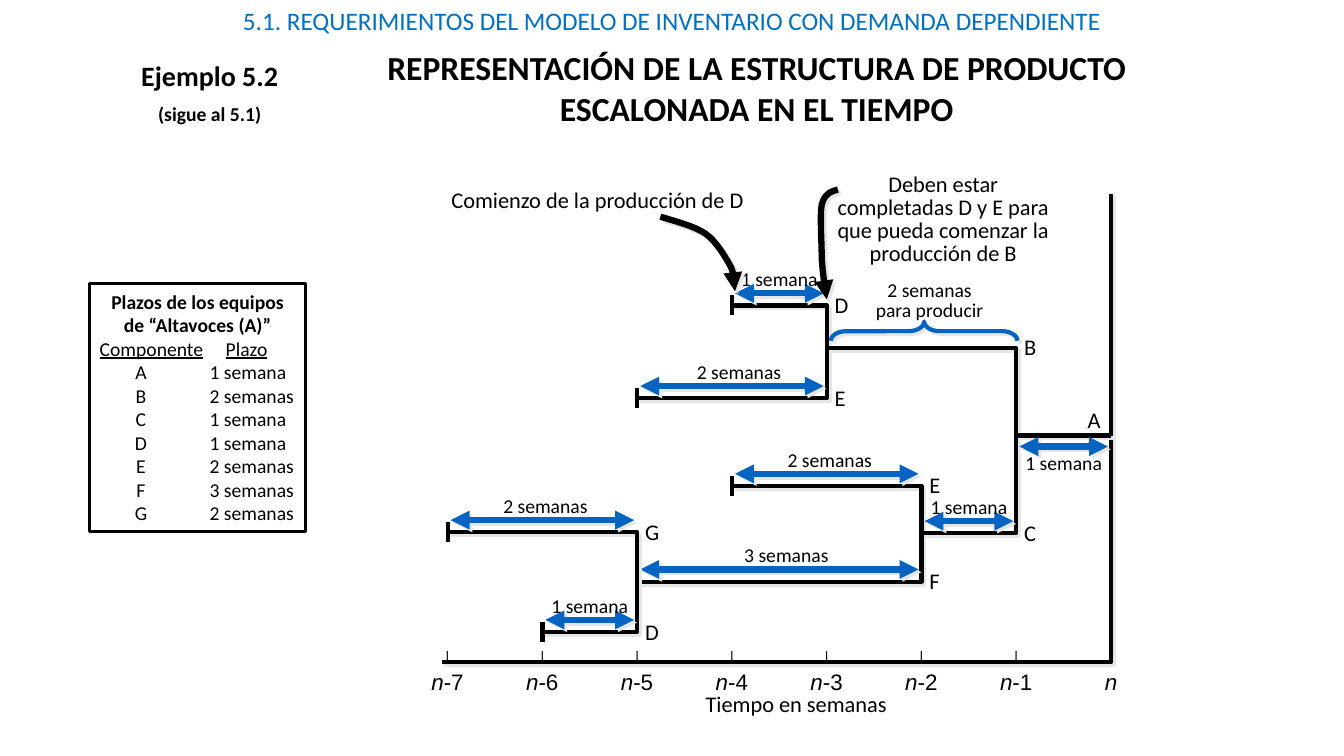
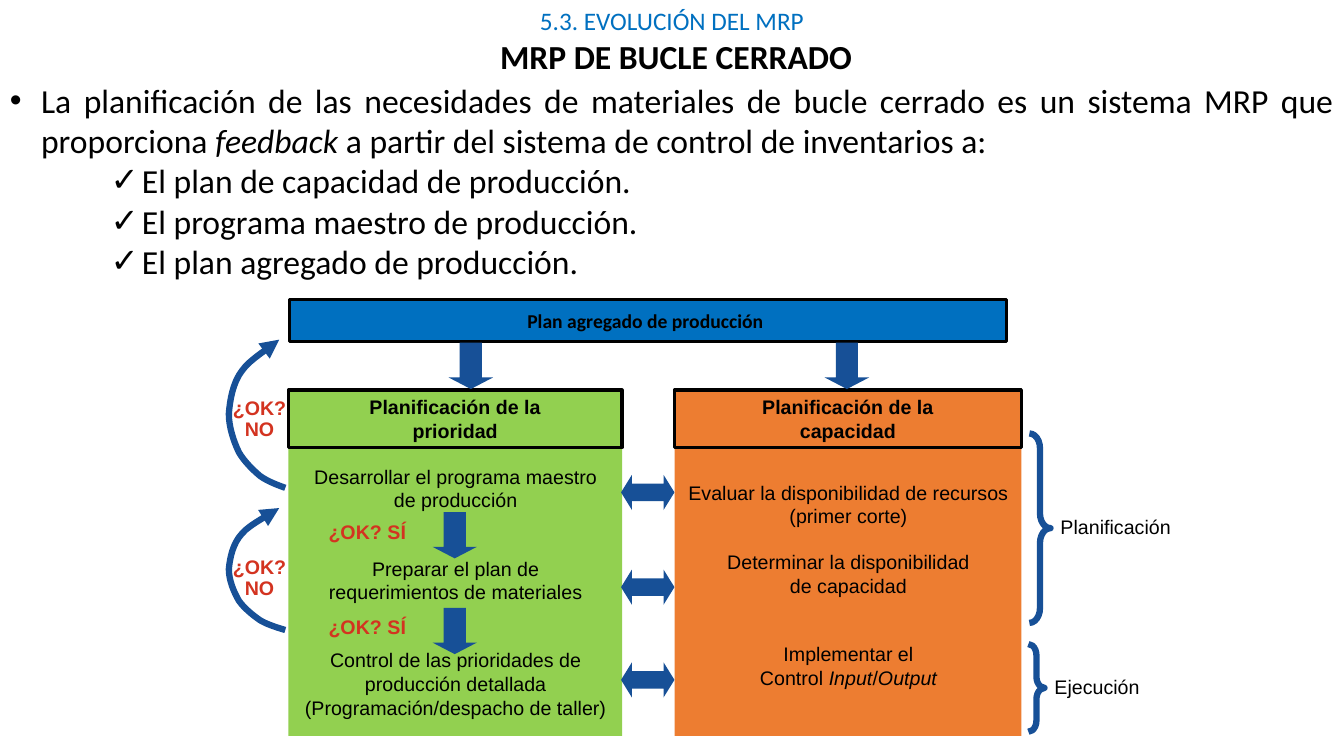
import pptx
import pptx.util
import pptx.dml.color
import pptx.enum.shapes
import pptx.enum.text
import pptx.oxml.ns
import lxml.etree

Inches, Pt = pptx.util.Inches, pptx.util.Pt
RGBColor = pptx.dml.color.RGBColor
Shape = pptx.enum.shapes.MSO_SHAPE
Align = pptx.enum.text.PP_ALIGN
Anchor = pptx.enum.text.MSO_ANCHOR
qn = pptx.oxml.ns.qn

BLACK = RGBColor(0x00, 0x00, 0x00)
BLUE = RGBColor(0x00, 0x70, 0xC0)
ARROW_BLUE = RGBColor(0x05, 0x63, 0xC1)
NAVY = RGBColor(0x17, 0x50, 0x97)
GREEN = RGBColor(0x92, 0xD0, 0x50)
ORANGE = RGBColor(0xED, 0x7D, 0x31)
RED = RGBColor(0xD3, 0x33, 0x20)
SHADOW = RGBColor(0xE7, 0xE6, 0xE6)

# Slide 1 content
LEAD_TIMES = [("A", "1 semana"), ("B", "2 semanas"), ("C", "1 semana"), ("D", "1 semana"),
              ("E", "2 semanas"), ("F", "3 semanas"), ("G", "2 semanas")]
# Component, start week, end week, height, duration, shift of its label, start mark
BRACKETS = [
    [("D", -4, -3, 3.03, "1 semana", 0, True), ("E", -5, -3, 3.95, "2 semanas", 0.07, True)],
    [("E", -4, -2, 4.82, "2 semanas", 0.03, True), ("F", -5, -2, 5.77, "3 semanas", 0.07, False)],
    [("G", -7, -5, 5.28, "2 semanas", 0.03, True), ("D", -6, -5, 6.27, "1 semana", 0, True)],
    [("B", -3, -1, 3.45, "", 0, False), ("C", -2, -1, 5.29, "1 semana", 0, False)],
]
WEEKS = range(-7, 1)
AXIS_END, WEEK_WIDTH, AXIS_Y = 11.02, 0.94, 6.57
START_CURVE = [(6.55, 2.15), (6.71, 2.2), (6.88, 2.24), (7, 2.32), (7.11, 2.4), (7.2, 2.56),
               (7.25, 2.65), (7.29, 2.75), (7.29, 2.82), (7.29, 2.89)]
DONE_CURVE = [(8.31, 1.88), (8.24, 1.9), (8.18, 1.92), (8.15, 2.03), (8.13, 2.14), (8.15, 2.4),
              (8.15, 2.56), (8.16, 2.72), (8.18, 2.84), (8.2, 2.97)]

# Slide 2 content (asterisks enclose italics)
INTRO = ("La planificación de las necesidades de materiales de bucle cerrado es un sistema MRP "
         "que proporciona *feedback* a partir del sistema de control de inventarios a:")
TARGETS = ["El plan de capacidad de producción.", "El programa maestro de producción.",
           "El plan agregado de producción."]
# Column: left, width, fill, heading, text box, groups of (lines left free above, lines)
COLUMNS = [
    (2.86, 3.31, GREEN, "Planificación de la prioridad", (2.92, 4.56, 3.2, 2.69), [
        (0, ["Desarrollar el programa maestro", "de producción"]),
        (2, ["Preparar el plan de", "requerimientos de materiales"]),
        (2, ["Control de las prioridades de", "producción detallada",
             "(Programación/despacho de taller)"])]),
    (6.69, 3.44, ORANGE, "Planificación de la capacidad", (6.72, 4.72, 3.39, 2.22), [
        (0, ["Evaluar la disponibilidad de recursos", "(primer corte)"]),
        (1, ["Determinar la disponibilidad", "de capacidad"]),
        (2, ["Implementar el", "Control *Input*/*Output*"])]),
]
BLOCK_ARROWS = [(Shape.DOWN_ARROW, 0.26, 0.44, 0.46, [(4.45, 3.4), (8.18, 3.4), (4.29, 5.08), (4.29, 6.03)]),
                (Shape.LEFT_RIGHT_ARROW, 0.31, 0.53, 0.35, [(6.16, 4.71), (6.16, 5.65), (6.16, 6.57)])]
# Feedback loops: top, height, label top
LOOPS = [(3.37, 1.47, 3.9), (5.04, 1.21, 5.48)]
# Loop outline: distance from the left, share of the height
LOOP_CURVE = [(0.56, 1), (0.52, 0.99), (0.39, 0.96), (0.31, 0.92), (0.24, 0.88), (0.15, 0.82),
              (0.1, 0.76), (0.05, 0.69), (0, 0.59), (0, 0.5), (0.01, 0.41), (0.04, 0.29),
              (0.13, 0.21), (0.21, 0.13), (0.42, 0.05), (0.5, 0)]
PHASES = [((10.21, 4.3, 0.21, 1.88), "Planificación", (10.42, 5.09, 1.3, 0.31)),
          ((10.2, 6.39, 0.16, 0.87), "Ejecución", (10.36, 6.67, 1.42, 0.31))]


def write(frame, lines, size, font="Calibri", color=BLACK, bold=False, align=Align.LEFT,
          spacing=None, mark="italic"):
    """Fill the frame; pieces between asterisks get the mark."""
    for index, line in enumerate(lines):
        para = frame.paragraphs[0] if index == 0 else frame.add_paragraph()
        para.alignment = align
        if spacing:
            para.line_spacing = spacing
        para.font.name, para.font.size, para.font.bold = font, Pt(size), bold
        para.font.color.rgb = color
        for number, piece in enumerate(line.split("*")):
            if piece:
                span = para.add_run()
                span.text = piece
                if number % 2:
                    setattr(span.font, mark, True)
    return frame.paragraphs


def add_text(slide, place, lines, size, wrap=True, **style):
    box = slide.shapes.add_textbox(*map(Inches, place))
    box.text_frame.word_wrap = wrap
    return write(box.text_frame, lines, size, **style)


def add_paragraph_setting(para, tag, **values):
    element = lxml.etree.Element(qn(tag), values)
    para._p.pPr.find(qn("a:defRPr")).addprevious(element)
    return element


def set_tabs(para, stops):
    tabs = add_paragraph_setting(para, "a:tabLst")
    for position, kind in stops:
        lxml.etree.SubElement(tabs, qn("a:tab"), pos=str(Inches(position)), algn=kind)


def set_bullet(para, sign, left):
    add_paragraph_setting(para, "a:buFont", typeface="Arial")
    add_paragraph_setting(para, "a:buChar", char=sign)
    para._p.pPr.set("marL", str(Inches(left)))
    para._p.pPr.set("indent", str(Inches(-0.31)))


def style_line(shape, color, width, heads=(), shadow=False):
    """Line, arrowheads and shadow, for shapes and connectors alike."""
    shape.line.color.rgb = color
    shape.line.width = Pt(width)
    properties = shape._element.spPr
    for head in heads:
        lxml.etree.SubElement(properties.find(qn("a:ln")), qn(head), type="triangle")
    effects = properties.find(qn("a:effectLst"))
    if effects is None:
        effects = lxml.etree.SubElement(properties, qn("a:effectLst"))
    if shadow:
        outer = lxml.etree.SubElement(effects, qn("a:outerShdw"), dist=str(Pt(2.8)),
                                      dir="2700000", algn="ctr", rotWithShape="0")
        lxml.etree.SubElement(outer, qn("a:srgbClr"), val=str(SHADOW))


def add_shape(slide, kind, place, fill=None, line=None, width=2.25, adjust=(), shadow=False):
    shape = slide.shapes.add_shape(kind, *map(Inches, place))
    shape.shadow.inherit = False
    for index, value in enumerate(adjust):
        shape.adjustments[index] = value
    if fill is None:
        shape.fill.background()
    else:
        shape.fill.solid()
        shape.fill.fore_color.rgb = fill
    if line is None:
        shape.line.fill.background()
    else:
        style_line(shape, line, width, shadow=shadow)
    return shape


def add_line(slide, start, end, color=BLACK, width=3, heads=(), shadow=False):
    line = slide.shapes.add_connector(pptx.enum.shapes.MSO_CONNECTOR.STRAIGHT,
                                      *map(Inches, start + end))
    style_line(line, color, width, heads, shadow)


def add_outline(slide, points, color=BLACK, width=3, heads=(), shadow=True):
    corners = [(Inches(x), Inches(y)) for x, y in points]
    builder = slide.shapes.build_freeform(*corners[0])
    builder.add_line_segments(corners[1:], close=False)
    outline = builder.convert_to_shape()
    outline.shadow.inherit = False
    outline.fill.background()
    style_line(outline, color, width, heads, shadow)


def curve_points(controls, steps=8):
    """Points along a chain of cubic curves."""
    points = [controls[0]]
    for first in range(0, len(controls) - 1, 3):
        for step in range(1, steps + 1):
            t = step / steps
            weights = ((1 - t) ** 3, 3 * t * (1 - t) ** 2, 3 * t * t * (1 - t), t ** 3)
            group = controls[first:first + 4]
            points.append(tuple(sum(w * point[axis] for w, point in zip(weights, group))
                                for axis in (0, 1)))
    return points


def new_slide(deck, section):
    slide = deck.slides.add_slide(deck.slide_layouts[6])
    add_text(slide, (0, 0, 13.33, 0.4), [section], 18, color=BLUE, align=Align.CENTER)
    return slide


def week_x(week):
    return AXIS_END + week * WEEK_WIDTH


def add_duration(slide, start, end, arrow_y, label_top, duration, shift):
    left, right = week_x(start), week_x(end)
    add_line(slide, (left + 0.03, arrow_y), (right - 0.03, arrow_y), ARROW_BLUE, 4.5,
             ("a:headEnd", "a:tailEnd"), True)
    add_text(slide, ((left + right) / 2 + shift - 0.52, label_top, 1.04, 0.34), [duration], 14,
             wrap=False, align=Align.CENTER)


def add_lead_times(slide):
    box = add_shape(slide, Shape.RECTANGLE, (0.89, 2.81, 2.14, 2.46), line=BLACK)
    box.text_frame.word_wrap = True
    lines = ["Plazos de los equipos de “Altavoces (A)”", "*Componente*\t*Plazo*"]
    lines += [f"\t{name}\t{time}" for name, time in LEAD_TIMES]
    heading, columns, *rows = write(box.text_frame, lines, 14, mark="underline")
    heading.alignment, heading.font.bold = Align.CENTER, True
    set_tabs(columns, [(1.25, "l")])
    for row in rows:
        set_tabs(row, [(0.41, "ctr"), (1.09, "l")])


def build_time_slide(deck):
    slide = new_slide(deck, "5.1. REQUERIMIENTOS DEL MODELO DE INVENTARIO CON DEMANDA DEPENDIENTE")
    add_text(slide, (1.96, 0.42, 11.09, 0.91), ["REPRESENTACIÓN DE LA ESTRUCTURA DE PRODUCTO",
             "ESCALONADA EN EL TIEMPO"], 24, bold=True, align=Align.CENTER)
    example = add_text(slide, (1.24, 0.53, 1.68, 0.79), ["Ejemplo 5.2", "(sigue al 5.1)"], 20,
                       bold=True, align=Align.CENTER)
    example[1].font.size, example[1].space_before = Pt(14), Pt(7)
    add_lead_times(slide)

    # Time axis
    labels = ["*n*" + (str(week) if week else "") for week in WEEKS]
    axis_left = 4.14
    scale = add_text(slide, (axis_left, 6.35, 7.15, 0.6),
                     ["\t|" * len(WEEKS), "\t" + "\t".join(labels)], 16, font="Arial", spacing=1.15)
    scale[0].font.size = Pt(10)
    for para in scale:
        set_tabs(para, [(week_x(week) - axis_left - 0.1, "ctr") for week in WEEKS])
    add_text(slide, (6.9, 6.8, 2.02, 0.37), ["Tiempo en semanas"], 16, wrap=False)
    add_outline(slide, [(4.38, AXIS_Y), (AXIS_END, AXIS_Y), (AXIS_END, 1.92)])

    # Brackets joining two components
    for pair in BRACKETS:
        (_, start, end, top, *_), (_, other_start, _, bottom, *_) = pair
        add_outline(slide, [(week_x(start), top), (week_x(end), top),
                            (week_x(end), bottom), (week_x(other_start), bottom)])
        for name, start, end, y, duration, shift, marked in pair:
            add_text(slide, (week_x(end) - 0.02, y - 0.19, 0.33, 0.37), [name], 16, wrap=False)
            if marked:
                add_line(slide, (week_x(start), y - 0.1), (week_x(start), y + 0.1))
            if duration:
                add_duration(slide, start, end, y - 0.12, y - 0.43, duration, shift)

    # Final product A and the brace of B
    add_line(slide, (AXIS_END, 4.32), (week_x(-1), 4.32), shadow=True)
    add_text(slide, (10.69, 3.98, 0.33, 0.37), ["A"], 16, wrap=False)
    add_duration(slide, -1, 0, 4.43, 4.42, "1 semana", 0)
    brace = add_shape(slide, Shape.LEFT_BRACE, (9.07, 2.36, 0.19, 1.85), line=ARROW_BLUE,
                      width=3, adjust=(0.8, 0.5), shadow=True)
    brace.rotation = 90
    add_text(slide, (8.55, 2.74, 1.34, 0.5), ["2 semanas para producir"], 14,
             align=Align.CENTER, spacing=0.85)

    # Remarks
    add_text(slide, (4.38, 1.8, 3.14, 0.37), ["Comienzo de la producción de D"], 16, wrap=False)
    add_text(slide, (8.14, 1.68, 2.43, 1.02),
             ["Deben estar completadas D y E para que pueda comenzar la producción de B"], 16,
             align=Align.CENTER, spacing=0.85)
    for curve in (START_CURVE, DONE_CURVE):
        add_outline(slide, curve_points(curve), width=4.5, heads=("a:tailEnd",))


def add_bar(slide, place, text, fill, margin, **style):
    bar = add_shape(slide, Shape.RECTANGLE, place, fill=fill, line=BLACK)
    frame = bar.text_frame
    frame.word_wrap, frame.vertical_anchor = True, Anchor.MIDDLE
    frame.margin_left = frame.margin_right = Inches(margin)
    write(frame, [text], 14, bold=True, **style)


def build_loop_slide(deck):
    slide = new_slide(deck, "5.3. EVOLUCIÓN DEL MRP")
    add_text(slide, (2.76, 0.31, 7.89, 0.5), ["MRP DE BUCLE CERRADO"], 24, bold=True,
             align=Align.CENTER)
    intro, *targets = add_text(slide, (0, 0.74, 13.33, 2.12), [INTRO] + TARGETS, 24,
                               align=Align.JUSTIFY)
    set_bullet(intro, "•", 0.31)
    for target in targets:
        target.level = 1
        set_bullet(target, "✓", 1.31)

    # Plan and its two columns
    add_bar(slide, (2.87, 2.97, 7.11, 0.42), "Plan agregado de producción", BLUE, 2.36)
    for left, width, fill, heading, place, groups in COLUMNS:
        add_shape(slide, Shape.RECTANGLE, (left, 3.87, width, 3.43), fill=fill)
        add_bar(slide, (left, 3.87, width, 0.57), heading, None, 0.67, font="Arial",
                align=Align.CENTER)
        paras = add_text(slide, place, [line for _, lines in groups for line in lines], 14,
                         wrap=False, font="Arial", align=Align.CENTER)
        first = 0
        for free_lines, lines in groups:
            if free_lines:
                paras[first].space_before = Pt(16 * free_lines)
            first += len(lines)

    # Arrows, loops and answers
    for kind, head, width, height, corners in BLOCK_ARROWS:
        for corner in corners:
            add_shape(slide, kind, corner + (width, height), fill=NAVY, adjust=(0.5, head))
    answer = dict(wrap=False, font="Arial", color=RED, bold=True)
    for top, height, label_top in LOOPS:
        controls = [(2.27 + x, top + share * height) for x, share in LOOP_CURVE]
        add_outline(slide, curve_points(controls), NAVY, 4.5, ("a:tailEnd",), shadow=False)
        add_text(slide, (2.21, label_top, 0.73, 0.52), ["¿OK?", "NO"], 14,
                 align=Align.CENTER, spacing=0.9, **answer)
    for top in (5.11, 6.05):
        add_text(slide, (3.16, top, 0.98, 0.34), ["¿OK? SÍ"], 14, **answer)

    # Phases
    for brace_place, phase, place in PHASES:
        add_shape(slide, Shape.RIGHT_BRACE, brace_place, line=NAVY, width=4.5, adjust=(0.7, 0.5))
        add_text(slide, place, [phase], 14, font="Arial", spacing=0.9)


def main():
    deck = pptx.Presentation()
    deck.slide_width, deck.slide_height = Inches(13.33), Inches(7.5)
    build_time_slide(deck)
    build_loop_slide(deck)
    deck.save("out.pptx")


if __name__ == "__main__":
    main()
